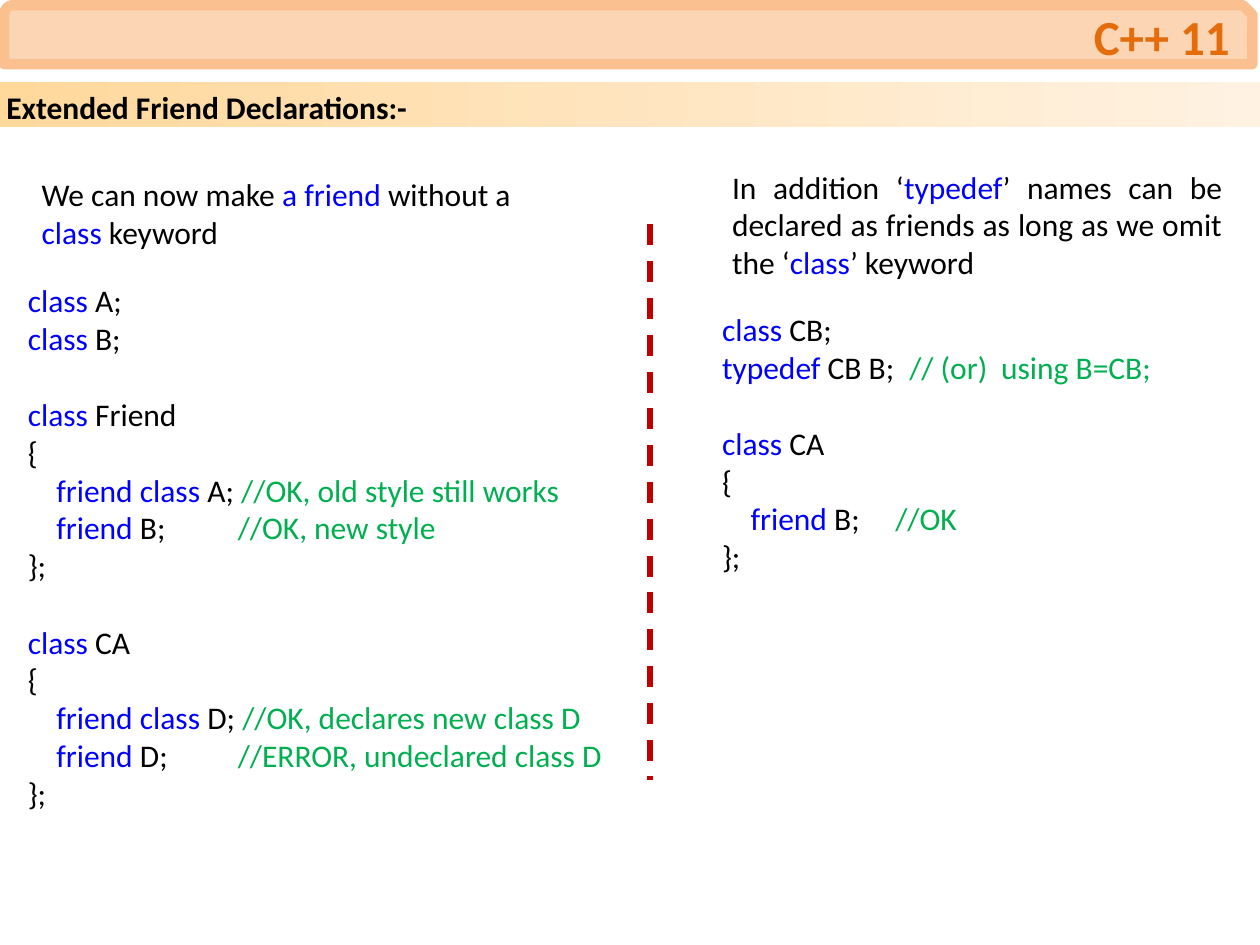
"""Build a slide on extended friend declarations in C++ 11."""
from dataclasses import dataclass

from lxml import etree
from pptx import Presentation
from pptx.dml.color import RGBColor
from pptx.enum.dml import MSO_LINE
from pptx.enum.shapes import MSO_CONNECTOR, MSO_SHAPE
from pptx.enum.text import MSO_ANCHOR, MSO_AUTO_SIZE, PP_ALIGN
from pptx.oxml.ns import qn
from pptx.util import Pt

BANNER_SHAPE, BAR_SHAPE = MSO_SHAPE.SNIP_ROUND_RECTANGLE, MSO_SHAPE.RECTANGLE
STRAIGHT, DASH = MSO_CONNECTOR.STRAIGHT, MSO_LINE.DASH
LEFT, RIGHT, JUSTIFY = PP_ALIGN.LEFT, PP_ALIGN.RIGHT, PP_ALIGN.JUSTIFY
TOP, MIDDLE = MSO_ANCHOR.TOP, MSO_ANCHOR.MIDDLE
FIT = MSO_AUTO_SIZE.SHAPE_TO_FIT_TEXT


@dataclass(frozen=True)
class Theme:
    font: str = "Calibri"
    body_size: int = 18
    title_size: int = 28
    line_height: int = 22
    inset: float = 3.6
    text: str = "000000"
    keyword: str = "0000FF"
    comment: str = "00B050"
    title: str = "E46C0A"
    banner_fill: str = "FCD5B5"
    banner_line: str = "FAC090"
    bar_start: str = "FFD89C"
    bar_end: str = "FFF2E2"
    divider: str = "C00000"


class SlideBuilder:
    def __init__(self, slide, theme):
        self.shapes = slide.shapes
        self.theme = theme

    def panel(self, kind, box):
        panel = self.shapes.add_shape(kind, *map(Pt, box))
        panel.shadow.inherit = False
        return panel

    def banner(self, box):
        banner = self.panel(BANNER_SHAPE, box)
        banner.fill.solid()
        banner.fill.fore_color.rgb = RGBColor.from_string(self.theme.banner_fill)
        banner.line.color.rgb = RGBColor.from_string(self.theme.banner_line)
        banner.line.width = Pt(6)

    def heading_bar(self, box, heading):
        bar = self.panel(BAR_SHAPE, box)
        bar.fill.gradient()
        bar.fill.gradient_angle = 0
        for stop, color in zip(bar.fill.gradient_stops, (self.theme.bar_start, self.theme.bar_end)):
            stop.color.rgb = RGBColor.from_string(color)
        bar.line.fill.background()
        self.set_lines(bar.text_frame, [heading], bold=True)

    def text(self, box, lines, **style):
        self.set_lines(self.shapes.add_textbox(*map(Pt, box)).text_frame, lines, **style)

    def set_lines(self, frame, lines, align=LEFT, anchor=TOP, tabs=(), size=None, color=None, bold=False):
        inset = Pt(self.theme.inset)
        frame_format = {"word_wrap": True, "auto_size": FIT, "vertical_anchor": anchor,
                        "margin_left": inset, "margin_right": inset,
                        "margin_top": inset, "margin_bottom": inset}
        for name, value in frame_format.items():
            setattr(frame, name, value)
        font_format = {"name": self.theme.font, "size": Pt(size or self.theme.body_size), "bold": bold}
        for index, line in enumerate(lines):
            paragraph = frame.add_paragraph() if index else frame.paragraphs[0]
            paragraph.alignment = align
            if line.startswith("\n"):
                paragraph.space_before = Pt(self.theme.line_height)
            if tabs:
                self.tab_stops(paragraph, tabs)
            for words, ink in self.highlight(line.strip("\n"), color or self.theme.text):
                run = paragraph.add_run()
                run.text = words
                run.font.color.rgb = RGBColor.from_string(ink)
                for name, value in font_format.items():
                    setattr(run.font, name, value)

    def tab_stops(self, paragraph, tabs):
        properties = paragraph._p.get_or_add_pPr()
        stops = etree.SubElement(properties, qn("a:tabLst"))
        for position in tabs:
            etree.SubElement(stops, qn("a:tab"), pos=str(Pt(position)), algn="l")

    def highlight(self, line, base):
        code, slashes, remark = line.partition("//")
        inks = (base, self.theme.keyword)
        parts = [(words, inks[index % 2]) for index, words in enumerate(code.split("`"))]
        parts.append((slashes + remark, self.theme.comment))
        return [part for part in parts if part[0]]

    def divider(self, x, top, bottom):
        divider = self.shapes.add_connector(STRAIGHT, Pt(x), Pt(top), Pt(x), Pt(bottom))
        divider.line.color.rgb = RGBColor.from_string(self.theme.divider)
        divider.line.width = Pt(3)
        divider.line.dash_style = DASH
        etree.SubElement(divider._element.spPr, qn("a:effectLst"))


FRIEND_CODE = [
    "`class` A;",
    "`class` B;",
    "\n`class` Friend",
    "{",
    "\t`friend class `A; //OK, old style still works",
    "\t`friend` B;\t//OK, new style",
    "};",
    "\n`class` CA",
    "{",
    "\t`friend class `D; //OK, declares new class D",
    "\t`friend` D;\t//ERROR, undeclared class D",
    "};",
]
TYPEDEF_CODE = [
    "`class` CB;",
    "`typedef` CB B; \t// (or)\tusing B=CB;",
    "\n`class` CA",
    "{",
    "\t`friend` B;\t//OK",
    "};",
]
FRIEND_INTRO = "We can now make `a friend `without a `class` keyword"
TYPEDEF_INTRO = ("In addition ‘`typedef`’ names can be declared as friends "
                 "as long as we omit the ‘`class`’ keyword")


def main():
    presentation = Presentation()
    presentation.slide_width, presentation.slide_height = Pt(720), Pt(540)
    theme = Theme()
    page = SlideBuilder(presentation.slides.add_slide(presentation.slide_layouts[6]), theme)

    page.heading_bar((0, 46.6, 720, 26), "Extended Friend Declarations:-")
    page.banner((2.3, 2.9, 713.4, 33.8))
    page.text((10.8, 2.9, 695.5, 35.3), ["C++ 11"], align=RIGHT, anchor=MIDDLE,
              size=theme.title_size, color=theme.title, bold=True)
    page.text((12.3, 157, 338.4, 348.5), FRIEND_CODE, tabs=(16.3, 120))
    page.text((414.7, 92.2, 287.3, 72), [TYPEDEF_INTRO], align=JUSTIFY)
    page.text((409, 173.5, 276.5, 164), TYPEDEF_CODE, tabs=(16.3, 99, 107, 159.5))
    page.text((20.2, 96.5, 293, 49), [FRIEND_INTRO])
    page.divider(371.5, 128.2, 445.7)
    presentation.save("out.pptx")


if __name__ == "__main__":
    main()
